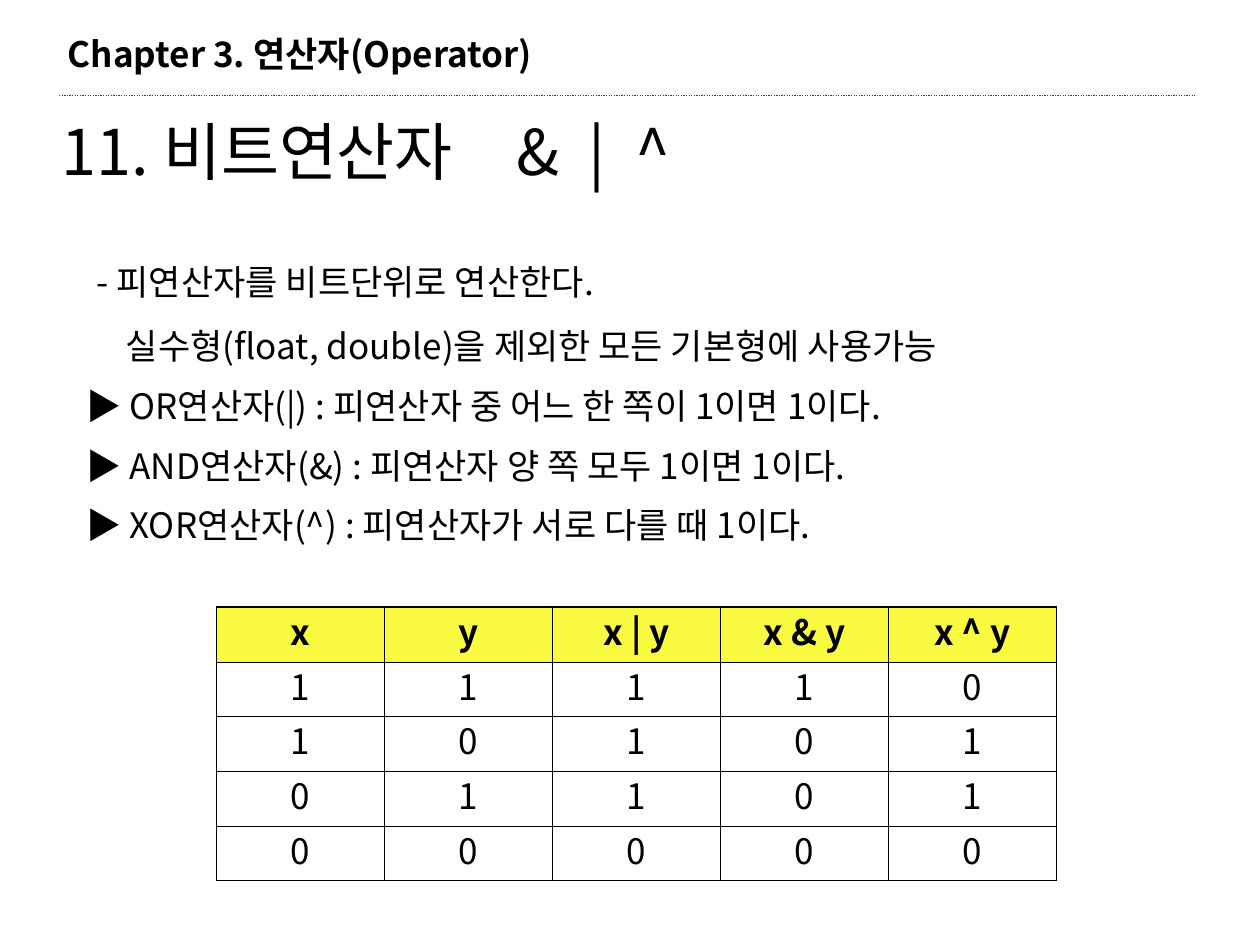
"""Build a slide on bitwise operators with a truth table."""
from typing import NamedTuple

from lxml.etree import SubElement
from pptx import Presentation
from pptx.dml.color import RGBColor
from pptx.enum.dml import MSO_LINE_DASH_STYLE as Dash
from pptx.enum.shapes import MSO_CONNECTOR as Connector
from pptx.enum.text import MSO_AUTO_SIZE as AutoSize, PP_ALIGN as Align
from pptx.oxml.ns import qn
from pptx.util import Pt

FONT = "Noto Sans CJK KR"
BLACK = RGBColor(0x00, 0x00, 0x00)
NAVY = RGBColor(0x2F, 0x2F, 0x98)
YELLOW = RGBColor(0xFA, 0xFA, 0x40)
THIN, THICK = 0.45, 1.08


class Line(NamedTuple):
    """One paragraph with its indent and tab stops in points."""
    text: str
    indent: float = 0
    tabs: tuple[float, ...] = ()


class TextBlock(NamedTuple):
    """A text box and its lines, with lengths in points."""
    left: float
    top: float
    width: float
    height: float
    lines: tuple[Line, ...]
    size: float = 20
    bold: bool = False


RULES = (
    "▶ OR연산자(|) : 피연산자 중 어느 한 쪽이 1이면 1이다.",
    "▶ AND연산자(&) : 피연산자 양 쪽 모두 1이면 1이다.",
    "▶ XOR연산자(^) : 피연산자가 서로 다를 때 1이다.",
)
BLOCKS = (
    TextBlock(31.7, 15.1, 300, 31.7, (Line("Chapter 3. 연산자(Operator)"),), bold=True),
    TextBlock(28.1, 60.5, 680.4, 50.4,
              (Line("11. 비트연산자\t&\t|\t^", tabs=(260, 301, 328)),), size=36),
    *(TextBlock(42.5, 216 + 34.2 * index, 671.8, 31.7, (Line(rule),))
      for index, rule in enumerate(RULES)),
    TextBlock(48.2, 145.4, 601.2, 67.7, (
        Line("- 피연산자를 비트단위로 연산한다."),
        Line("실수형(float, double)을 제외한 모든 기본형에 사용가능", indent=16.6),
    )),
)
HEADINGS = ("x", "y", "x | y", "x & y", "x ^ y")
INPUTS = ((1, 1), (1, 0), (0, 1), (0, 0))


def write_line(para, line: Line, size: float, bold: bool, before: float, align=Align.LEFT) -> None:
    """Write one formatted line into a paragraph."""
    layout = {"alignment": align, "space_before": Pt(before), "line_spacing": Pt(size * 1.2)}
    for name, value in layout.items():
        setattr(para, name, value)
    span = para.add_run()
    span.text = line.text
    for name, value in {"name": FONT, "size": Pt(size), "bold": bold}.items():
        setattr(span.font, name, value)
    span.font.color.rgb = BLACK
    SubElement(span.font._element, qn("a:ea"), typeface=FONT)
    properties = para._p.get_or_add_pPr()
    if line.indent:
        properties.set("marL", str(Pt(line.indent)))
    if line.tabs:
        stops = SubElement(properties, qn("a:tabLst"))
        for position in line.tabs:
            SubElement(stops, qn("a:tab"), pos=str(Pt(position)), algn="l")


def draw_text(page, block: TextBlock) -> None:
    """Draw a text box with one paragraph per line."""
    box = page.shapes.add_textbox(*map(Pt, block[:4]))
    frame = box.text_frame
    for name, value in {"word_wrap": True, "auto_size": AutoSize.SHAPE_TO_FIT_TEXT}.items():
        setattr(frame, name, value)
    for index, line in enumerate(block.lines):
        para = frame.add_paragraph() if index else frame.paragraphs[0]
        write_line(para, line, block.size, block.bold, block.size * 0.625)


def draw_divider(page) -> None:
    """Draw the dotted line below the chapter heading."""
    divider = page.shapes.add_connector(Connector.STRAIGHT, Pt(33.8), Pt(54.7), Pt(683.3), Pt(54.7))
    line = divider.line
    line.color.rgb = NAVY
    line.width = Pt(0.75)
    line.dash_style = Dash.ROUND_DOT
    SubElement(divider._element.spPr, qn("a:effectLst"))


def draw_borders(cell, widths: dict[str, float]) -> None:
    """Give each side of a cell a black border."""
    properties = cell._tc.get_or_add_tcPr()
    for side, width in widths.items():
        border = SubElement(properties, qn(f"a:ln{side}"), w=str(Pt(width)))
        fill = SubElement(border, qn("a:solidFill"))
        SubElement(fill, qn("a:srgbClr"), val=str(BLACK))


def draw_truth_table(page) -> None:
    """Draw the truth table computed from its inputs."""
    rows = [HEADINGS, *((x, y, x | y, x & y, x ^ y) for x, y in INPUTS)]
    last_row, last_column = len(rows) - 1, len(HEADINGS) - 1
    table = page.shapes.add_table(
        len(rows), len(HEADINGS), Pt(123.8), Pt(347), Pt(480), Pt(156.25)).table
    table.first_row = table.horz_banding = False
    for column in table.columns:
        column.width = Pt(96)
    for r, values in enumerate(rows):
        table.rows[r].height = Pt(31.25)
        for c, value in enumerate(values):
            cell = table.cell(r, c)
            outer = {"L": c == 0, "R": c == last_column, "T": r == 0, "B": r == last_row}
            draw_borders(cell, {side: THICK if edge else THIN for side, edge in outer.items()})
            if r == 0:
                cell.fill.solid()
                cell.fill.fore_color.rgb = YELLOW
            else:
                cell.fill.background()
            write_line(cell.text_frame.paragraphs[0], Line(str(value)), 20, r == 0, 5, Align.CENTER)


def main() -> None:
    """Assemble and save the deck."""
    deck = Presentation()
    deck.slide_width, deck.slide_height = Pt(720), Pt(540)
    page = deck.slides.add_slide(deck.slide_layouts[6])
    draw_divider(page)
    for block in BLOCKS:
        draw_text(page, block)
    draw_truth_table(page)
    deck.save("out.pptx")


if __name__ == "__main__":
    main()
